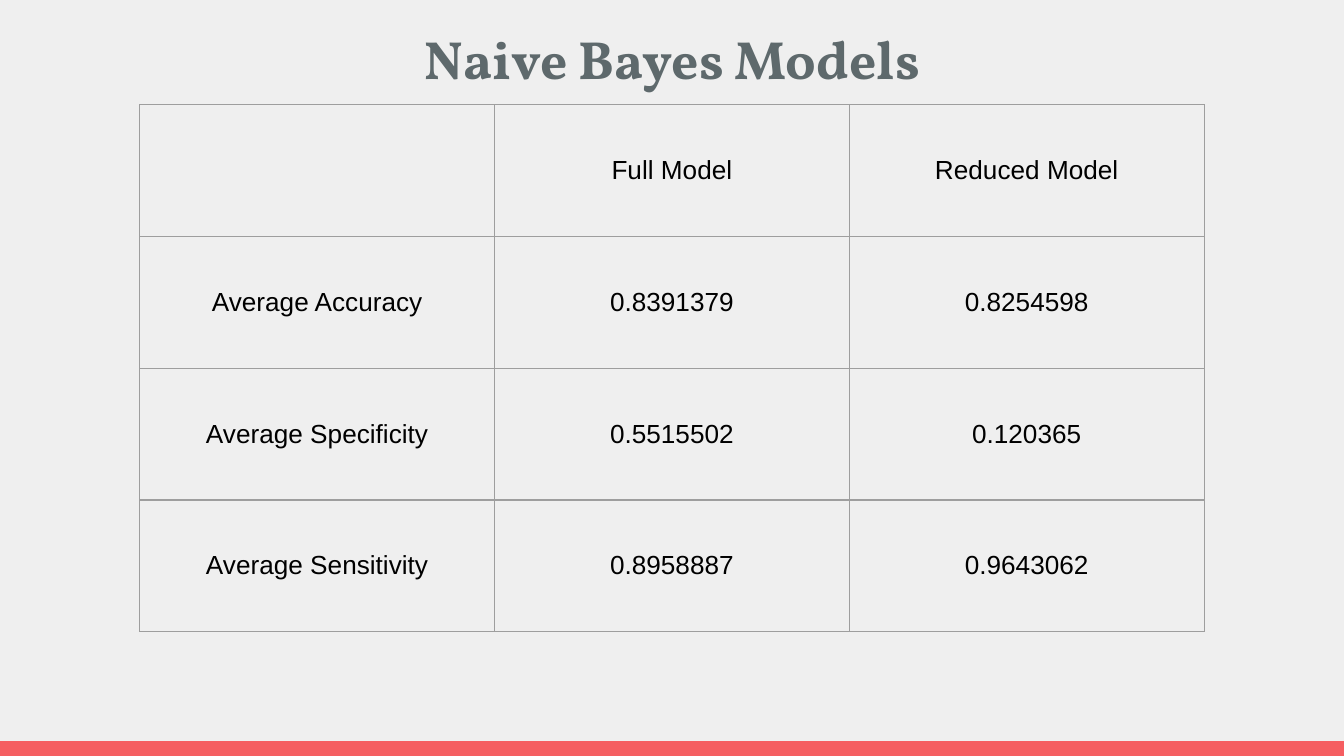
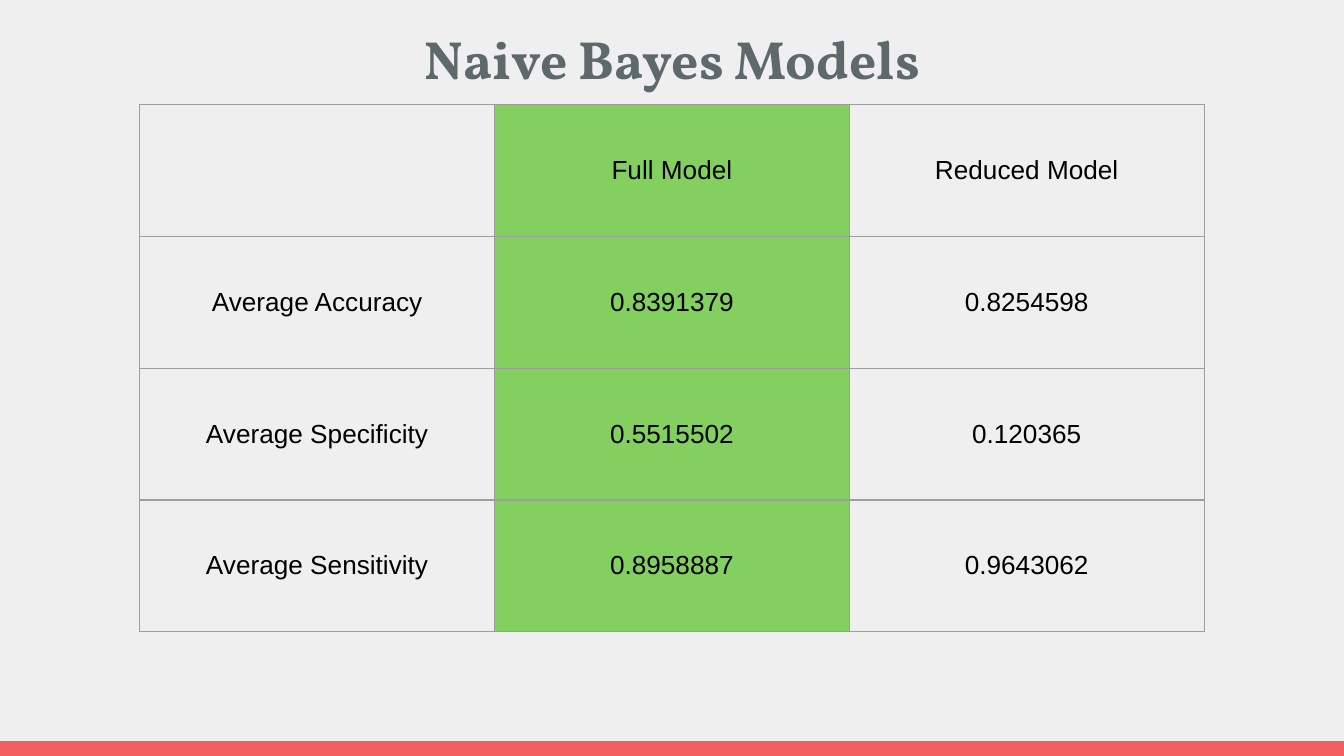
from lxml import etree
from pptx import Presentation
from pptx.dml.color import RGBColor
from pptx.enum.shapes import MSO_SHAPE
from pptx.enum.text import MSO_ANCHOR, PP_ALIGN
from pptx.oxml.ns import qn
from pptx.util import Inches, Pt

BACKGROUND = RGBColor(0xEF, 0xEF, 0xEF)
CORAL = RGBColor(0xF5, 0x5E, 0x61)
SLATE = RGBColor(0x5E, 0x69, 0x6C)
GRID_GREY = RGBColor(0x9E, 0x9E, 0x9E)
GREEN = RGBColor(0x83, 0xD0, 0x61)
BLACK = RGBColor(0, 0, 0)

RECTANGLE = MSO_SHAPE.RECTANGLE
CENTER = PP_ALIGN.CENTER
TOP, MIDDLE = MSO_ANCHOR.TOP, MSO_ANCHOR.MIDDLE

TITLE_FONT, BODY_FONT = "Vollkorn", "Arial"
WIDTH = 10
HEIGHT = WIDTH * 9 / 16
PADDING = Inches(0.1)

MODEL_SCORES = [
    ["", "Full Model", "Reduced Model"],
    ["Average Accuracy", "0.8391379", "0.8254598"],
    ["Average Specificity", "0.5515502", "0.120365"],
    ["Average Sensitivity", "0.8958887", "0.9643062"],
]
FULL_MODEL_COLUMN = 1


class Deck:
    """Holds the shared style and the slide being built."""

    def __init__(self):
        self.presentation = Presentation()
        self.presentation.slide_width = Inches(WIDTH)
        self.presentation.slide_height = Inches(HEIGHT)
        self.slide = None

    def new_slide(self, heading):
        blank = self.presentation.slide_layouts[6]
        self.slide = self.presentation.slides.add_slide(blank)
        fill = self.slide.background.fill
        fill.solid()
        fill.fore_color.rgb = BACKGROUND
        self.bottom_band(0.11)
        self.title(heading)

    def bottom_band(self, height):
        band = self.slide.shapes.add_shape(
            RECTANGLE, 0, Inches(HEIGHT - height),
            Inches(WIDTH), Inches(height))
        band.shadow.inherit = False
        band.fill.solid()
        band.fill.fore_color.rgb = CORAL
        band.line.fill.background()

    def title(self, heading):
        box = self.slide.shapes.add_textbox(
            Inches(0.34), Inches(0.09), Inches(9.32), Inches(0.68))
        frame = box.text_frame
        frame.word_wrap = True
        frame.vertical_anchor = TOP
        self.pad(frame)
        frame.text = heading
        self.style(frame.paragraphs[0], TITLE_FONT, 28.8, SLATE, bold=True)

    def table(self, rows, left, top, column_width, row_height, highlight=None):
        """Draw a ruled table; highlight is the index of a green column."""
        row_count, column_count = len(rows), len(rows[0])
        table = self.slide.shapes.add_table(
            row_count, column_count, Inches(left), Inches(top),
            Inches(column_width * column_count),
            Inches(row_height * row_count)).table
        table.first_row = False
        table.horz_banding = False
        for column in table.columns:
            column.width = Inches(column_width)
        for row, texts in zip(table.rows, rows):
            row.height = Inches(row_height)
            for index, (cell, text) in enumerate(zip(row.cells, texts)):
                self.cell(cell, text, GREEN if index == highlight else None)

    def cell(self, cell, text, color):
        cell.text = text
        cell.vertical_anchor = MIDDLE
        self.pad(cell)
        self.style(cell.text_frame.paragraphs[0], BODY_FONT, 14, BLACK)
        self.borders(cell)
        if color is None:
            cell.fill.background()
        else:
            cell.fill.solid()
            cell.fill.fore_color.rgb = color

    @staticmethod
    def borders(cell):
        properties = cell._tc.get_or_add_tcPr()
        for side in ("a:lnL", "a:lnR", "a:lnT", "a:lnB"):
            line = etree.SubElement(properties, qn(side), w=str(Pt(0.75)))
            fill = etree.SubElement(line, qn("a:solidFill"))
            etree.SubElement(fill, qn("a:srgbClr"), val=str(GRID_GREY))

    @staticmethod
    def pad(target):
        target.margin_left = target.margin_right = PADDING
        target.margin_top = target.margin_bottom = PADDING

    @staticmethod
    def style(paragraph, font_name, size, color, bold=False):
        paragraph.alignment = CENTER
        for font in [paragraph.font] + [run.font for run in paragraph.runs]:
            font.name = font_name
            font.size = Pt(size)
            font.bold = bold
            font.color.rgb = color


def main():
    deck = Deck()
    # The scores plain, then with the full model highlighted
    for highlight in (None, FULL_MODEL_COLUMN):
        deck.new_slide("Naive Bayes Models")
        deck.table(MODEL_SCORES, 1.04, 0.78, 2.64, 0.98, highlight)
    deck.presentation.save("out.pptx")


if __name__ == "__main__":
    main()
